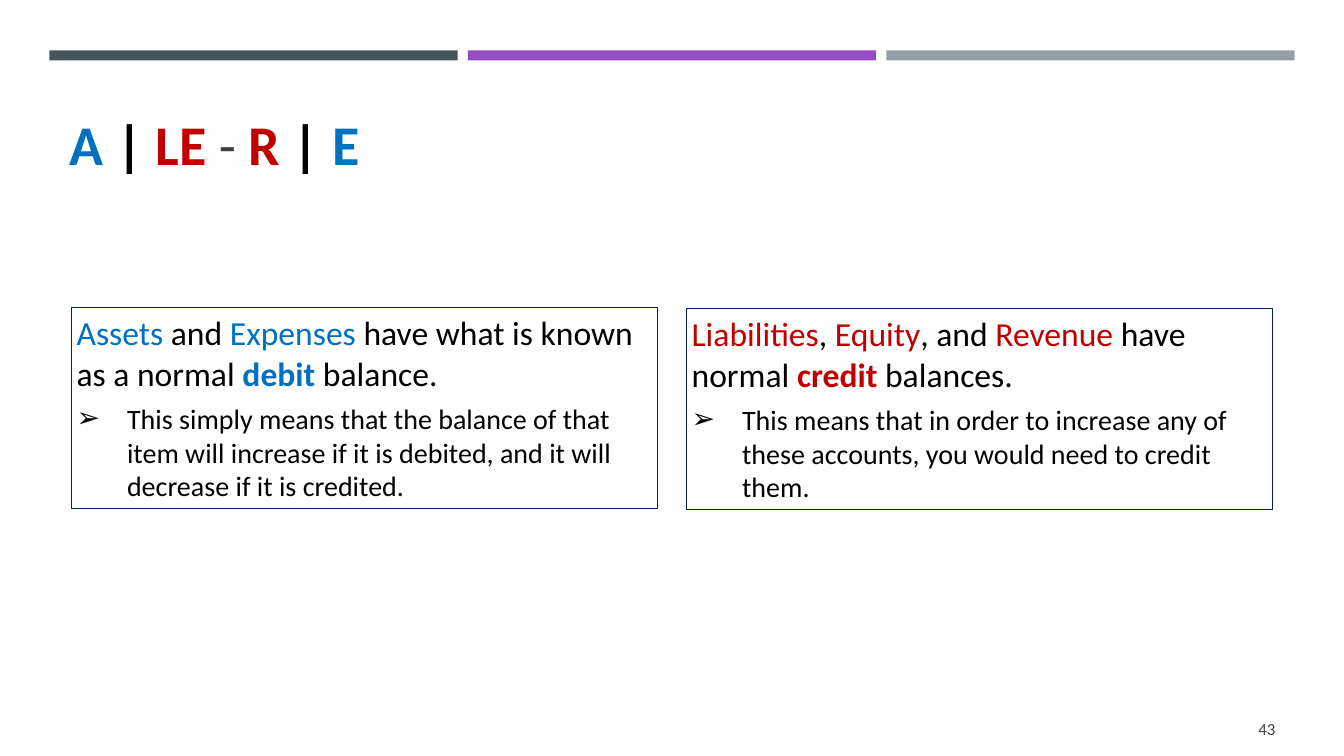
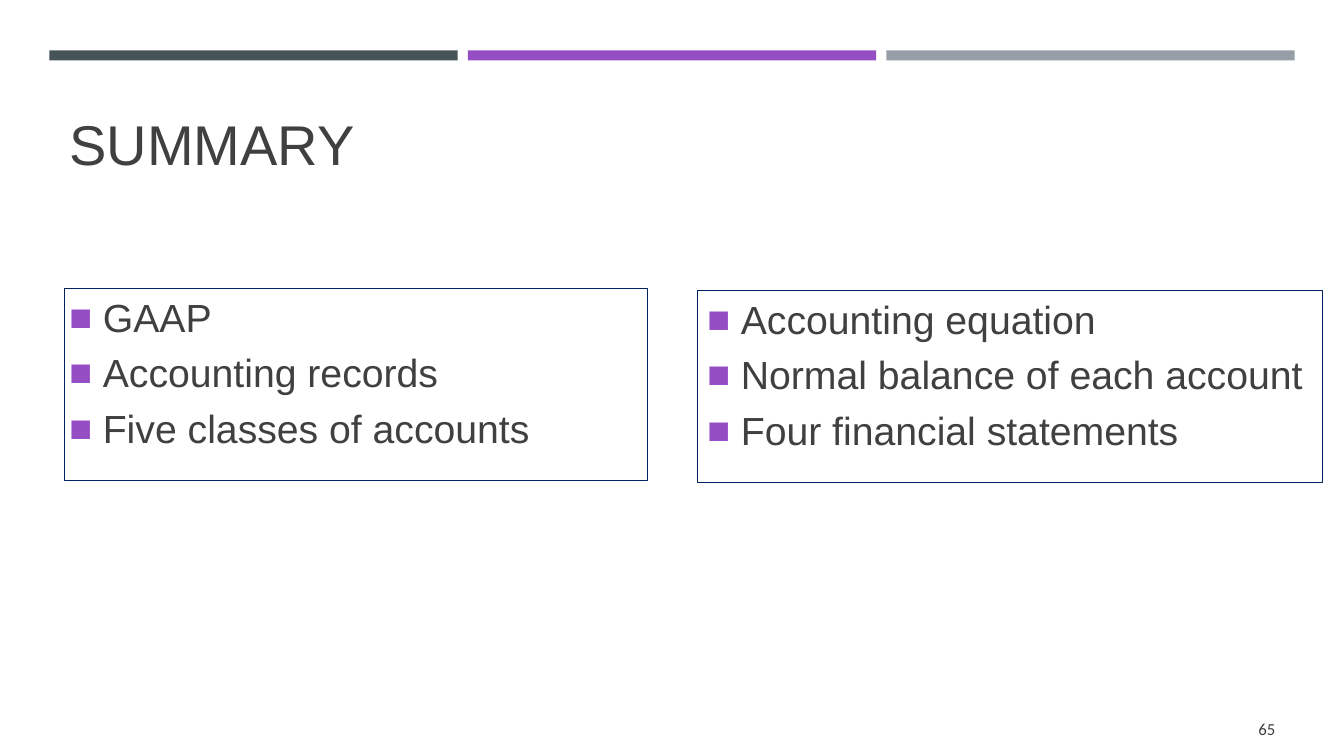
import dataclasses
import lxml.etree
import pptx
import pptx.dml.color
import pptx.enum.shapes
import pptx.enum.text
import pptx.oxml.ns
import pptx.util

Inches = pptx.util.Inches
Pt = pptx.util.Pt
Align = pptx.enum.text.PP_ALIGN
Anchor = pptx.enum.text.MSO_ANCHOR


@dataclasses.dataclass(frozen=True)
class Theme:
    bars: tuple = ("465359", "944DC3", "969FA7")
    accent: str = "944DC3"
    edge: str = "002060"
    grey: str = "404040"
    black: str = "000000"
    blue: str = "0070C0"
    red: str = "C00000"
    sans: str = "Arial"
    body: str = "Calibri"
    title: int = 40
    list: int = 28
    lead: int = 24
    point: int = 20
    page: int = 12
    pad: float = 0.05
    gap: int = 6


THEME = Theme()


def paint(color):
    return pptx.dml.color.RGBColor.from_string(color)


def set_font(font, name, size, color):
    font.name = name
    font.size = Pt(size)
    font.color.rgb = paint(color)


def set_frame(frame, anchor, left=THEME.pad, wrap=True):
    frame.word_wrap = wrap
    frame.vertical_anchor = anchor
    frame.margin_left = Inches(left)
    frame.margin_top = frame.margin_right = frame.margin_bottom = Inches(THEME.pad)


def add_runs(para, runs):
    for text, color, bold in runs:
        run = para.add_run()
        run.text = text
        run.font.color.rgb = paint(color)
        run.font.bold = bold


def add_mark(para, char, indent, color=None, size=None):
    props = para._p.get_or_add_pPr()
    props.set("marL", str(Inches(indent)))
    props.set("indent", str(-Inches(indent)))

    def child(parent, tag, **attrs):
        return lxml.etree.SubElement(parent, pptx.oxml.ns.qn(tag), attrs)

    if color:
        child(child(props, "a:buClr"), "a:srgbClr", val=color)
    if size:
        child(props, "a:buSzPct", val=str(size * 1000))
    child(props, "a:buFont", typeface=THEME.sans)
    child(props, "a:buChar", char=char)


def add_rect(slide, left, top, width, height):
    rect = slide.shapes.add_shape(
        pptx.enum.shapes.MSO_SHAPE.RECTANGLE,
        Inches(left), Inches(top), Inches(width), Inches(height))
    rect.shadow.inherit = False
    return rect


def add_bars(slide):
    width, gap = 4.05, 0.1
    for i, color in enumerate(THEME.bars):
        bar = add_rect(slide, 0.49 + i * (width + gap), 0.5, width, 0.1)
        bar.fill.solid()
        bar.fill.fore_color.rgb = paint(color)
        bar.line.fill.background()


def add_title(slide, runs, font):
    title = slide.shapes.title
    title.left, title.top = Inches(0.64), Inches(0.77)
    title.width, title.height = Inches(12.06), Inches(1.3)
    set_frame(title.text_frame, Anchor.MIDDLE)
    para = title.text_frame.paragraphs[0]
    para.alignment = Align.LEFT
    set_font(para.font, font, THEME.title, THEME.grey)
    add_runs(para, runs)


def add_page(slide, number):
    box = slide.shapes.add_textbox(
        Inches(12.4), Inches(7.08), Inches(0.3), Inches(0.29))
    set_frame(box.text_frame, Anchor.MIDDLE, wrap=False)
    para = box.text_frame.paragraphs[0]
    para.text = str(number)
    para.alignment = Align.RIGHT
    set_font(para.font, THEME.body, THEME.page, THEME.grey)


def add_panel(slide, left, top, width, height, inset=THEME.pad):
    panel = add_rect(slide, left, top, width, height)
    panel.fill.background()
    panel.line.color.rgb = paint(THEME.edge)
    panel.line.width = Pt(0.75)
    set_frame(panel.text_frame, Anchor.TOP, inset)
    return panel.text_frame


def fill_note(frame, runs, point):
    lead = frame.paragraphs[0]
    lead.alignment = Align.LEFT
    set_font(lead.font, THEME.body, THEME.lead, THEME.black)
    add_runs(lead, runs)
    para = frame.add_paragraph()
    para.text = point
    add_mark(para, "➢", 0.5)
    para.alignment = Align.LEFT
    para.space_before = Pt(THEME.gap)
    set_font(para.font, THEME.body, THEME.point, THEME.black)


def fill_list(frame, items):
    for i, item in enumerate(items):
        para = frame.add_paragraph() if i else frame.paragraphs[0]
        para.text = item
        add_mark(para, "◼", 0.33, THEME.accent, 92)
        para.alignment = Align.LEFT
        if i:
            para.space_before = Pt(THEME.gap)
        set_font(para.font, THEME.sans, THEME.list, THEME.grey)


def add_slide(deck, title, font, number):
    slide = deck.slides.add_slide(deck.slide_layouts[5])
    add_bars(slide)
    add_title(slide, title, font)
    add_page(slide, number)
    return slide


def main():
    deck = pptx.Presentation()
    deck.slide_width, deck.slide_height = Inches(13.33), Inches(7.5)
    black, blue, red, grey = THEME.black, THEME.blue, THEME.red, THEME.grey

    sides = add_slide(deck, [
        ("A ", blue, True), ("| ", black, True), ("LE ", red, True),
        ("- ", grey, False), ("R ", red, True), ("| ", black, True),
        ("E", blue, True)], THEME.body, 43)
    fill_note(add_panel(sides, 0.71, 3.05, 5.81, 2), [
        ("Assets", blue, False), (" and ", black, False),
        ("Expenses", blue, False),
        (" have what is known as a normal ", black, False),
        ("debit ", blue, True), ("balance.", black, False)],
        "This simply means that the balance of that item will increase "
        "if it is debited, and it will decrease if it is credited.")
    fill_note(add_panel(sides, 6.81, 3.06, 5.81, 2), [
        ("Liabilities", red, False), (", ", black, False),
        ("Equity", red, False), (", and ", black, False),
        ("Revenue", red, False), (" have normal", black, False),
        (" credit ", red, True), ("balances.", black, False)],
        "This means that in order to increase any of these accounts, "
        "you would need to credit them.")

    recap = add_slide(deck, [("SUMMARY", grey, False)], THEME.sans, 65)
    fill_list(add_panel(recap, 0.64, 2.86, 5.78, 1.91),
              ["GAAP", "Accounting records", "Five classes of accounts"])
    fill_list(add_panel(recap, 6.92, 2.88, 6.2, 1.91, inset=0.1),
              ["Accounting equation", "Normal balance of each account",
               "Four financial statements"])

    deck.save("out.pptx")


if __name__ == "__main__":
    main()
